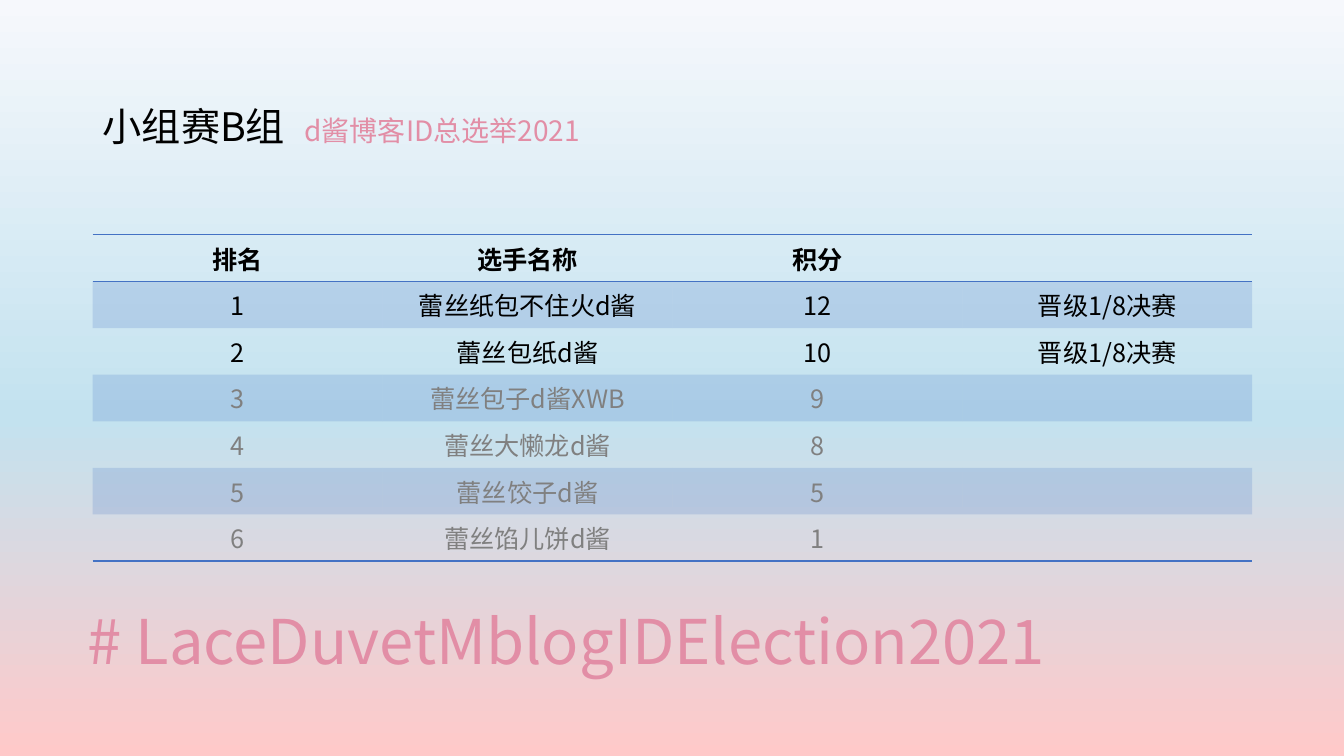
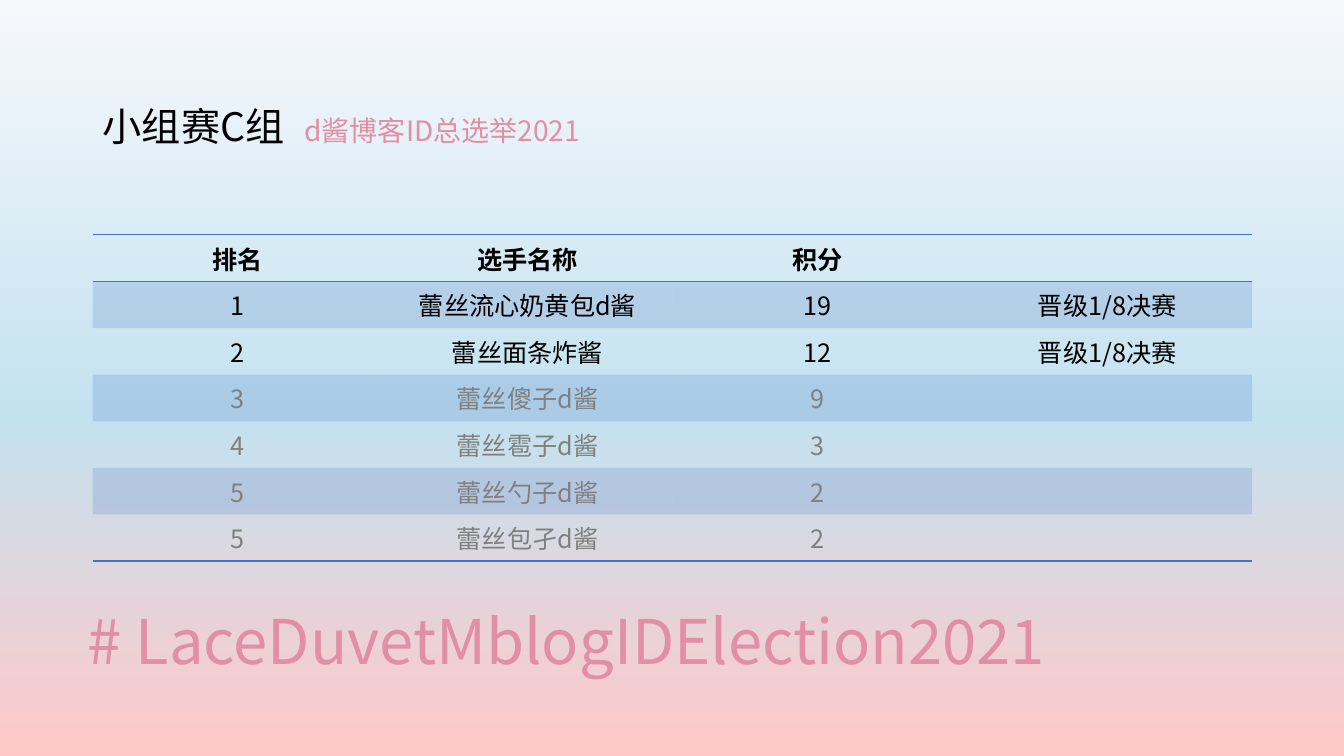
"""Builds two group-stage result slides with a shared title, heading and table style."""
import copy
import pptx
import pptx.util
import pptx.dml.color
import pptx.enum.text
import pptx.oxml
import pptx.oxml.ns

RGB = pptx.dml.color.RGBColor
INK, GREY = RGB(0, 0, 0), RGB(0x80, 0x80, 0x80)
PINK, BLUE = RGB(0xE2, 0x8E, 0xA6), RGB(0x44, 0x72, 0xC4)
SKY = [(0, RGB(0xF6, 0xF8, 0xFC)), (0.55, RGB(0xC3, 0xE2, 0xEF)), (1, RGB(0xFF, 0xC9, 0xC9))]
FONT = "Noto Sans CJK SC"
PLAIN = "{2D5ABB26-0587-4C30-8999-92F81FD0307C}"

TAG = "# LaceDuvetMblogIDElection2021"
EVENT = "d酱博客ID总选举2021"
HEAD = ("排名", "选手名称", "积分", "")
PASS = "晋级1/8决赛"
GROUPS = [
    ("小组赛B组", [
        ("1", "蕾丝纸包不住火d酱", "12", PASS),
        ("2", "蕾丝包纸d酱", "10", PASS),
        ("3", "蕾丝包子d酱XWB", "9", ""),
        ("4", "蕾丝大懒龙d酱", "8", ""),
        ("5", "蕾丝饺子d酱", "5", ""),
        ("6", "蕾丝馅儿饼d酱", "1", ""),
    ]),
    ("小组赛C组", [
        ("1", "蕾丝流心奶黄包d酱", "19", PASS),
        ("2", "蕾丝面条炸酱", "12", PASS),
        ("3", "蕾丝傻子d酱", "9", ""),
        ("4", "蕾丝雹子d酱", "3", ""),
        ("5", "蕾丝勺子d酱", "2", ""),
        ("5", "蕾丝包孑d酱", "2", ""),
    ]),
]

WIDE, HIGH = pptx.util.Inches(13.33), pptx.util.Inches(7.5)
BOXES = {
    "tag": (0.0578, 0.756, 0.8627, 0.1933),
    "head": (0.069, 0.136, 0.8627, 0.072),
    "table": (0.069, 0.3107, 0.8627, 0.3787),
}
ALIGN, ANCHOR = pptx.enum.text.PP_ALIGN, pptx.enum.text.MSO_ANCHOR
FRAME = {"word_wrap": True, "auto_size": pptx.enum.text.MSO_AUTO_SIZE.NONE}
LINE = {"line_spacing": 0.9, "alignment": ALIGN.LEFT}


def style(item, form):
    for key, val in form.items():
        setattr(item, key, val)


def node(root, name, **attrs):
    part = root.makeelement(pptx.oxml.ns.qn(name), attrs)
    root.append(part)
    return part


def place(name):
    return [int(part * side) for part, side in zip(BOXES[name], (WIDE, HIGH) * 2)]


def write(para, text, size, color, bold=False):
    run = para.add_run()
    run.text = text
    style(run.font, {"name": FONT, "size": pptx.util.Pt(size), "bold": bold})
    run.font.color.rgb = color
    node(run._r.get_or_add_rPr(), "a:ea", typeface=FONT)


def paint(master):
    fill = master.background.fill
    fill.gradient()
    fill.gradient_angle = 270
    stops = master.element.find(".//" + pptx.oxml.ns.qn("a:gsLst"))
    stops.insert(1, copy.deepcopy(stops[0]))
    for stop, (pos, color) in zip(fill.gradient_stops, SKY):
        stop.position = pos
        stop.color.rgb = color


def fit(shape, name, form):
    style(shape, dict(zip(("left", "top", "width", "height"), place(name))))
    style(shape.text_frame, FRAME | form)
    para = shape.text_frame.paragraphs[0]
    style(para, LINE)
    return para


def rule(cell, side):
    line = node(cell._tc.get_or_add_tcPr(), side, w=str(pptx.util.Pt(1)))
    node(node(line, "a:solidFill"), "a:srgbClr", val=str(BLUE))


def shade(cell):
    cell.fill.solid()
    cell.fill.fore_color.rgb = BLUE
    tint = cell._tc.tcPr.find(pptx.oxml.ns.qn("a:solidFill"))[0]
    node(tint, "a:alpha", val="20000")


def fill_table(slide, rows):
    last = len(rows) - 1
    table = slide.shapes.add_table(len(rows), len(HEAD), *place("table")).table
    style(table, {"first_row": False, "horz_banding": False})
    table._tbl.tblPr.find(pptx.oxml.ns.qn("a:tableStyleId")).text = PLAIN
    for y, row in enumerate(rows):
        for x, text in enumerate(row):
            cell = table.cell(y, x)
            para = cell.text_frame.paragraphs[0]
            para.alignment = ALIGN.CENTER
            para.font.size = pptx.util.Pt(18)
            if text:
                write(para, text, 18, GREY if y > 2 else INK, y == 0)
            if y == 0:
                rule(cell, "a:lnT")
            if y in (0, last):
                rule(cell, "a:lnB")
            if y % 2:
                shade(cell)
            else:
                cell.fill.background()


def build(deck, name, rows):
    slide = deck.slides.add_slide(deck.slide_layouts[1])
    title, body = slide.placeholders
    write(fit(title, "tag", {"vertical_anchor": ANCHOR.MIDDLE}), TAG, 44, PINK)
    para = fit(body, "head", {"vertical_anchor": ANCHOR.TOP})
    para.space_before = pptx.util.Pt(10)
    props = para._p.get_or_add_pPr()
    for key in ("marL", "indent"):
        props.set(key, "0")
    node(props, "a:buNone")
    node(node(props, "a:tabLst"), "a:tab", pos=str(pptx.util.Inches(2.25)), algn="l")
    write(para, name + "\t", 28, INK)
    write(para, EVENT, 20, PINK)
    fill_table(slide, [HEAD] + rows)


deck = pptx.Presentation()
style(deck, {"slide_width": WIDE, "slide_height": HIGH})
paint(deck.slide_master)
for name, rows in GROUPS:
    build(deck, name, rows)
deck.save("out.pptx")
